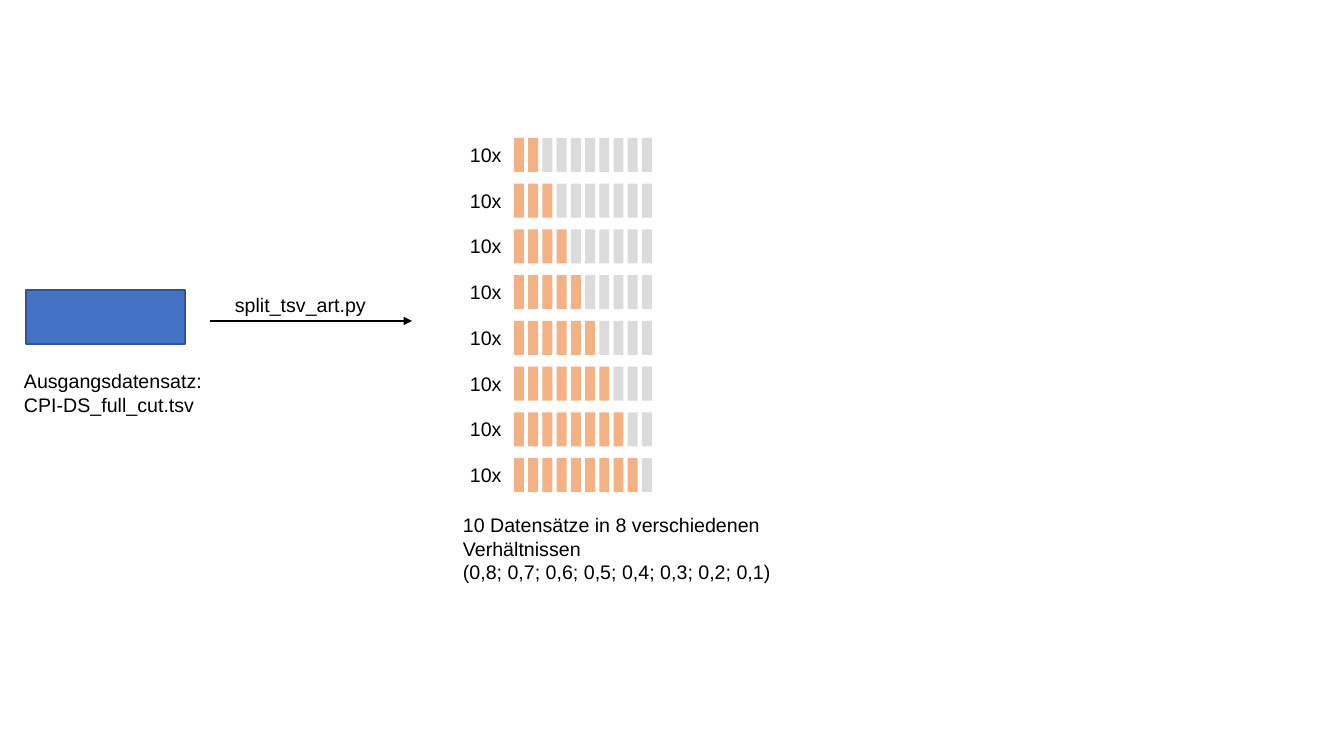
from pptx import Presentation
from pptx.dml.color import RGBColor
from pptx.enum.shapes import MSO_CONNECTOR, MSO_SHAPE
from pptx.enum.text import MSO_AUTO_SIZE
from pptx.oxml.ns import qn
from pptx.util import Pt
from lxml.etree import SubElement

SCALE = 914400 / 100.8
BLACK = RGBColor(0x00, 0x00, 0x00)
BLUE = RGBColor(0x44, 0x72, 0xC4)
NAVY = RGBColor(0x32, 0x54, 0x91)
ORANGE = RGBColor(0xF4, 0xB1, 0x83)
GREY = RGBColor(0xDB, 0xDB, 0xDB)
ROWS, BARS = 8, 10


def px(n):
    return round(n * SCALE)


def add_text(shapes, x, y, w, h, words):
    box = shapes.add_textbox(px(x), px(y), px(w), px(h))
    frame = box.text_frame
    frame.word_wrap = True
    frame.auto_size = MSO_AUTO_SIZE.SHAPE_TO_FIT_TEXT
    frame.text = words
    for line in frame.paragraphs:
        for run in line.runs:
            run.font.name = "Arial"
            run.font.size = Pt(14)
            run.font.color.rgb = BLACK


def add_rect(shapes, x, y, w, h, fill, edge=None):
    rect = shapes.add_shape(MSO_SHAPE.RECTANGLE, px(x), px(y), px(w), px(h))
    rect.shadow.inherit = False
    rect.fill.solid()
    rect.fill.fore_color.rgb = fill
    if edge is None:
        rect.line.fill.background()
    else:
        rect.line.color.rgb = edge
        rect.line.width = Pt(1)


def draw_source(shapes, x, y, w, h):
    add_rect(shapes, x + 12, y, 159, 54, BLUE, NAVY)
    add_text(shapes, x, y + h - 57, w, 57,
             "Ausgangsdatensatz:\nCPI-DS_full_cut.tsv")


def draw_script(shapes, x, y, w, h):
    add_text(shapes, x + 15, y, 155, 34, "split_tsv_art.py")
    arrow = shapes.add_connector(MSO_CONNECTOR.STRAIGHT,
                                 px(x), px(y + h), px(x + w), px(y + h))
    arrow.line.color.rgb = BLACK
    arrow.line.width = Pt(1.5)
    SubElement(arrow.line._get_or_add_ln(), qn("a:tailEnd"), type="triangle")
    SubElement(arrow._element.spPr, qn("a:effectLst"))


def draw_ratios(shapes, x, y, w, h):
    wide, high, left = 10, 34, 61
    step = (w - left - wide) / (BARS - 1)
    pitch = (h - high) / (ROWS - 1)
    for row in range(ROWS):
        top = y + row * pitch
        for bar in range(BARS):
            fill = ORANGE if bar < row + 2 else GREY
            add_rect(shapes, x + left + bar * step, top, wide, high, fill)
        add_text(shapes, x + 7, top, 93, 34, "10x")
    add_text(shapes, x, y + h + 16, 332, 81,
             "10 Datensätze in 8 verschiedenen Verhältnissen\n"
             "(0,8; 0,7; 0,6; 0,5; 0,4; 0,3; 0,2; 0,1)")


deck = Presentation()
deck.slide_width, deck.slide_height = px(1344), px(756)
slide = deck.slides.add_slide(deck.slide_layouts[6])
draw_source(slide.shapes, 14, 290, 203, 131)
draw_script(slide.shapes, 210, 288, 202, 33)
draw_ratios(slide.shapes.add_group_shape().shapes, 453, 138, 199, 354)
deck.save("out.pptx")
